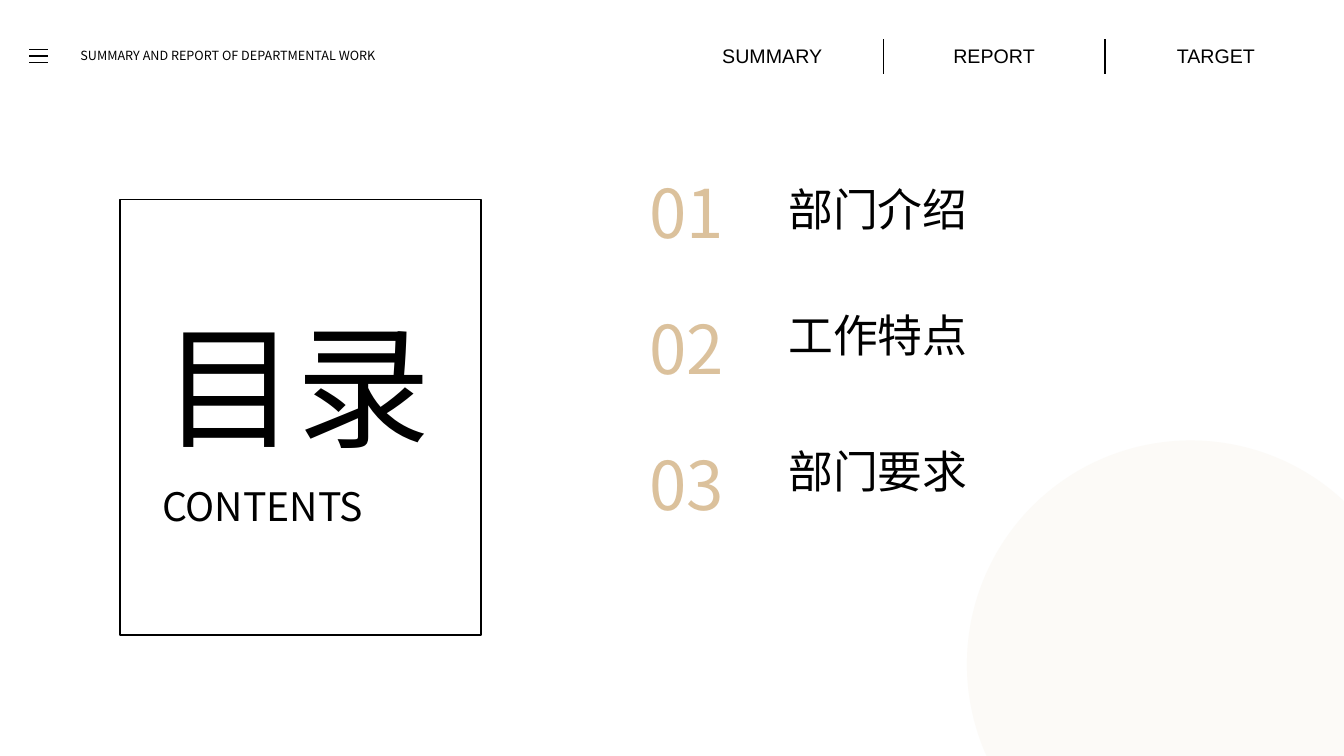
from dataclasses import dataclass
from math import acos, asin, cos, pi, sin

from lxml import etree
from pptx import Presentation
from pptx.dml.color import RGBColor
from pptx.enum.shapes import MSO_CONNECTOR, MSO_SHAPE
from pptx.enum.text import MSO_ANCHOR, MSO_AUTO_SIZE, PP_ALIGN
from pptx.oxml.ns import qn
from pptx.util import Inches, Pt

LINE = MSO_CONNECTOR.STRAIGHT
RECT = MSO_SHAPE.RECTANGLE
TOP = MSO_ANCHOR.TOP
FIXED = MSO_AUTO_SIZE.NONE
MID, JUST = PP_ALIGN.CENTER, PP_ALIGN.JUSTIFY
WIDE, HIGH = 13.33, 7.5


@dataclass(frozen=True)
class Theme:
    ink: RGBColor = RGBColor.from_string("000000")
    gold: RGBColor = RGBColor.from_string("DBC19C")
    cream: RGBColor = RGBColor.from_string("F8F3EB")
    latin: str = "Arial"
    sans: str = "Noto Sans CJK SC"
    tiny: int = 9
    menu: int = 14
    sub: int = 28
    item: int = 32
    digit: int = 48
    title: int = 96
    rule: float = 1


THEME = Theme()


def write(shape, text, size, face=THEME.sans, color=THEME.ink, align=JUST):
    """Fill a text shape with one paragraph, for Latin and Chinese letters."""
    frame = shape.text_frame
    frame.word_wrap = True
    frame.auto_size = FIXED
    frame.vertical_anchor = TOP
    frame.text = text
    para = frame.paragraphs[0]
    para.alignment = align
    font = para.font
    font.size = Pt(size)
    font.color.rgb = color
    font.name = face
    etree.SubElement(font._element, qn("a:ea"), typeface=THEME.sans)


def add_text(slide, box, text, size, **style):
    shape = slide.shapes.add_textbox(*map(Inches, box))
    write(shape, text, size, **style)


def add_line(slide, *ends):
    line = slide.shapes.add_connector(LINE, *map(Inches, ends))
    line.line.color.rgb = THEME.ink
    line.line.width = Pt(THEME.rule)
    etree.SubElement(line._element.spPr, qn("a:effectLst"))


def add_disc(slide, x, y, radius):
    """Draw a pale disc, cut off at the right and bottom slide edges."""
    start = pi - asin((HIGH - y) / radius)
    stop = 2 * pi - acos((WIDE - x) / radius)
    steps = 120
    turns = [start + (stop - start) * i / steps for i in range(steps + 1)]
    arc = [(Inches(x + radius * cos(t)), Inches(y + radius * sin(t)))
           for t in turns]
    path = slide.shapes.build_freeform(*arc[0])
    path.add_line_segments(arc[1:] + [(Inches(WIDE), Inches(HIGH))])
    disc = path.convert_to_shape()
    disc.shadow.inherit = False
    disc.line.fill.background()
    disc.fill.solid()
    disc.fill.fore_color.rgb = THEME.cream
    tint = disc._element.spPr.find(".//" + qn("a:srgbClr"))
    etree.SubElement(tint, qn("a:alpha"), val="40000")


def add_brand(slide, x, y, wide):
    """Draw the three-bar menu icon and the running head beside it."""
    for i in range(3):
        bar = y + 0.06 + i * 0.065
        add_line(slide, x, bar, x + 0.19, bar)
    left = x + 0.41
    add_text(slide, (left, y, wide - 0.41, 0.25),
             "SUMMARY AND REPORT OF DEPARTMENTAL WORK", THEME.tiny)


def add_menu(slide, x, y, step, high, labels):
    """Set labels in equal columns with a rule between neighbours."""
    pad = 0.22
    for i, label in enumerate(labels):
        left = x + i * step
        add_text(slide, (left + pad, y, step - 2 * pad, high), label,
                 THEME.menu, face=THEME.latin, align=MID)
        if i:
            add_line(slide, left, y, left, y + high)


def add_cover(slide, x, y, wide, high):
    """Frame the slide title and its subtitle."""
    frame = slide.shapes.add_shape(RECT, *map(Inches, (x, y, wide, high)))
    frame.shadow.inherit = False
    frame.fill.background()
    frame.line.color.rgb = THEME.ink
    frame.line.width = Pt(THEME.rule)
    left, span = x + 0.32, wide - 0.63
    title = slide.shapes.title
    title.left, title.top = Inches(left), Inches(y + 0.98)
    title.width, title.height = Inches(span), Inches(1.72)
    write(title, "目录", THEME.title, face=THEME.latin)
    add_text(slide, (left, y + 2.76, span, 0.57), "CONTENTS", THEME.sub)


def add_list(slide, x, y, step, items):
    """Number the chapters down the page; the first sits a little lower."""
    for i, item in enumerate(items):
        top = y + i * step
        drop = 0 if i else 0.1
        add_text(slide, (x, top, 1.16, 0.91), f"{i + 1:02}", THEME.digit,
                 color=THEME.gold, align=MID)
        add_text(slide, (x + 1.49, top + drop, 3.74, 0.64), item, THEME.item)


def main():
    deck = Presentation()
    deck.slide_width, deck.slide_height = Inches(WIDE), Inches(HIGH)
    slide = deck.slides.add_slide(deck.slide_layouts.get_by_name("Title Only"))
    add_disc(slide, 11.81, 6.59, 2.22)
    add_menu(slide, 6.56, 0.39, 2.2, 0.34, ["SUMMARY", "REPORT", "TARGET"])
    add_brand(slide, 0.29, 0.43, 4.81)
    add_list(slide, 6.23, 1.65, 1.35, ["部门介绍", "工作特点", "部门要求"])
    add_cover(slide, 1.19, 1.98, 3.58, 4.32)
    deck.save("out.pptx")


if __name__ == "__main__":
    main()
